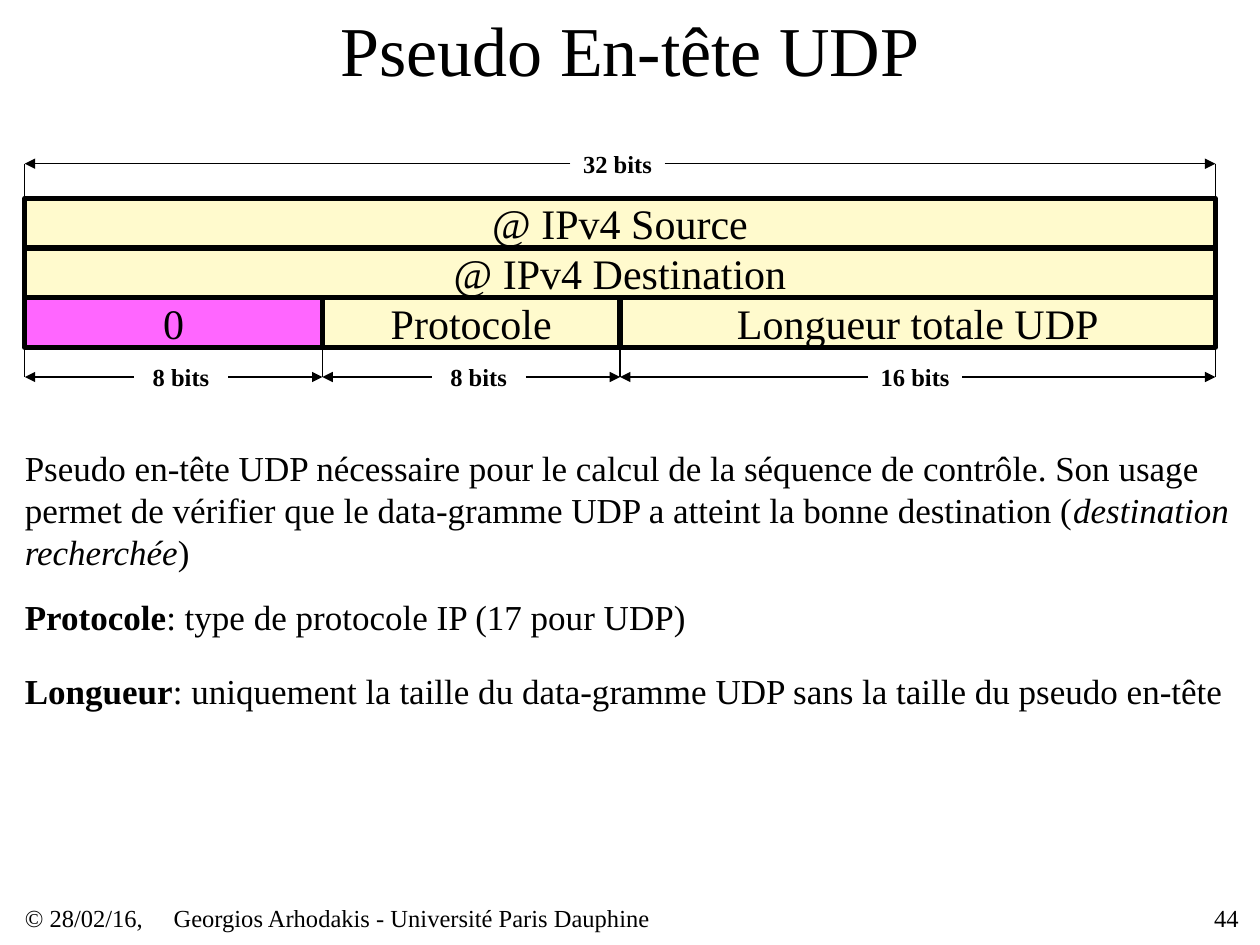
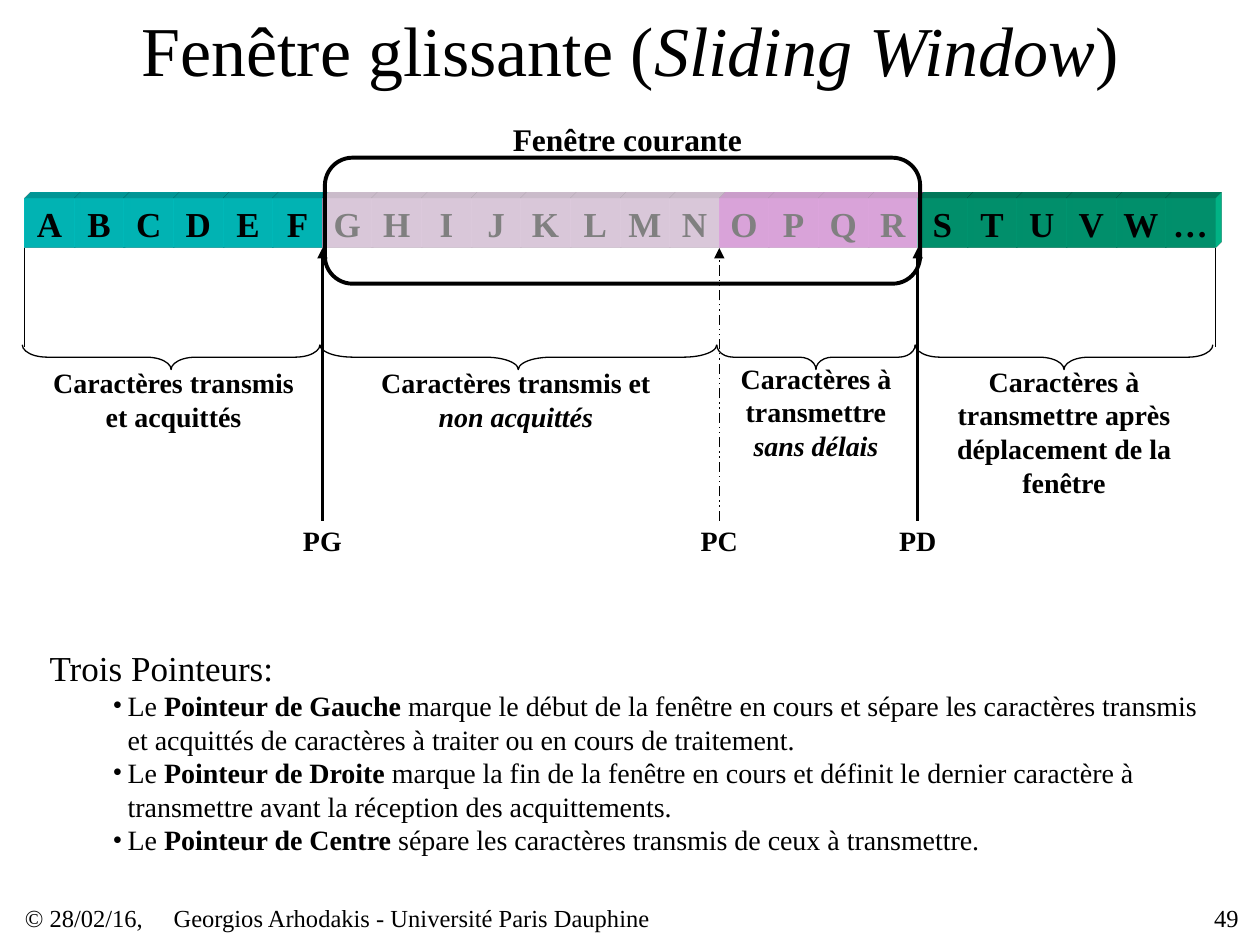
from lxml.etree import SubElement
from pptx import Presentation
from pptx.dml.color import RGBColor
from pptx.enum.dml import MSO_LINE
from pptx.enum.shapes import MSO_CONNECTOR, MSO_SHAPE
from pptx.enum.text import MSO_ANCHOR, MSO_AUTO_SIZE, PP_ALIGN
from pptx.oxml.ns import qn
from pptx.util import Cm, Inches, Pt

FONT = "Times New Roman"
BLACK = RGBColor(0x00, 0x00, 0x00)
WHITE = RGBColor(0xFF, 0xFF, 0xFF)
LEMON = RGBColor(0xFF, 0xFA, 0xCD)
MAGENTA = RGBColor(0xFF, 0x66, 0xFF)
PINK = RGBColor(0xFF, 0xCC, 0xFF)
CYAN = RGBColor(0x00, 0xFF, 0xFF)
GREEN = RGBColor(0x00, 0xCC, 0x99)

# One grid step is 1 cm; column 0 starts half a step from the left edge.
MARGIN = 0.5
TITLE_ONLY, TITLE_AND_BODY = 5, 1


def col(number):
    return Cm(MARGIN + number)


def write(paragraph, *runs, size=16, bold=False, align=PP_ALIGN.LEFT):
    """Add runs, each a string or a (string, "b" or "i") pair."""
    paragraph.alignment = align
    paragraph.space_before = Pt(0)
    for piece in runs:
        words, style = piece if isinstance(piece, tuple) else (piece, "")
        run = paragraph.add_run()
        run.text = words
        font = run.font
        font.name, font.size = FONT, Pt(size)
        font.bold = bold or style == "b"
        font.italic = style == "i"
        font.color.rgb = BLACK


def prepare(frame, wrap=True):
    """Give a text frame no insets and middle anchoring."""
    frame.margin_left = frame.margin_right = 0
    frame.margin_top = frame.margin_bottom = 0
    frame.vertical_anchor = MSO_ANCHOR.MIDDLE
    frame.auto_size = MSO_AUTO_SIZE.NONE
    frame.word_wrap = wrap
    return frame


def bullet(paragraph):
    properties = paragraph._p.get_or_add_pPr()
    properties.set("marL", str(Inches(0.62)))
    properties.set("indent", str(-Inches(0.12)))
    SubElement(properties, qn("a:buFont"), typeface=FONT)
    SubElement(properties, qn("a:buChar"), char="•")


def extrude(block, color):
    """Turn a flat block into a shallow oblique brick."""
    properties = block.element.spPr
    scene = SubElement(properties, qn("a:scene3d"))
    SubElement(scene, qn("a:camera"), prst="legacyObliqueTopRight")
    SubElement(scene, qn("a:lightRig"), rig="legacyFlat3", dir="b")
    solid = SubElement(properties, qn("a:sp3d"), extrusionH="125400",
                       prstMaterial="legacyMatte")
    side = SubElement(solid, qn("a:extrusionClr"))
    SubElement(side, qn("a:srgbClr"), val=str(color))


class Deck:
    def __init__(self):
        self.show = Presentation()
        self.show.slide_width, self.show.slide_height = Inches(10), Inches(7.5)
        self.slide = None

    def start(self, layout, page, *title):
        self.slide = self.show.slides.add_slide(self.show.slide_layouts[layout])
        heading = self.slide.shapes.title
        heading.left, heading.top = Inches(0.75), 0
        heading.width, heading.height = Inches(8.5), Inches(0.77)
        heading.text_frame.vertical_anchor = MSO_ANCHOR.MIDDLE
        heading.text_frame.auto_size = MSO_AUTO_SIZE.NONE
        write(heading.text_frame.paragraphs[0], *title, size=40,
              align=PP_ALIGN.CENTER)
        self.text(0, 18.2, 3, 0.6, "© 28/02/16,", size=14)
        self.text(3, 18.2, 15, 0.6,
                  "Georgios Arhodakis - Université Paris Dauphine", size=14)
        self.text(19.2, 18.2, 5.27, 0.6, page, size=14, align=PP_ALIGN.RIGHT)

    def text(self, column, row, width, height, *runs, **style):
        box = self.slide.shapes.add_textbox(
            col(column), Cm(row), Cm(width), Cm(height))
        write(prepare(box.text_frame).paragraphs[0], *runs, **style)

    def label(self, *place_and_runs, size=16):
        self.text(*place_and_runs, size=size, bold=True, align=PP_ALIGN.CENTER)

    def shape(self, preset, column, row, width, height, fill=None, line=0):
        figure = self.slide.shapes.add_shape(
            preset, col(column), Cm(row), Cm(width), Cm(height))
        figure.shadow.inherit = False
        if fill is None:
            figure.fill.background()
        else:
            figure.fill.solid()
            figure.fill.fore_color.rgb = fill
        if line:
            figure.line.color.rgb = BLACK
            figure.line.width = Pt(line)
        else:
            figure.line.fill.background()
        return figure

    def field(self, column, row, width, caption, fill=LEMON):
        box = self.shape(MSO_SHAPE.RECTANGLE, column, row, width, 1, fill, 3)
        write(prepare(box.text_frame).paragraphs[0], caption, size=24,
              align=PP_ALIGN.CENTER)

    def brick(self, column, row, letter, fill):
        block = self.shape(MSO_SHAPE.RECTANGLE, column, row, 1, 1, fill)
        write(prepare(block.text_frame, wrap=False).paragraphs[0], letter,
              size=20, bold=True, align=PP_ALIGN.CENTER)
        extrude(block, fill)

    def line(self, start, end, width=0.75, arrow=False, dash=None):
        link = self.slide.shapes.add_connector(
            MSO_CONNECTOR.STRAIGHT, col(start[0]), Cm(start[1]),
            col(end[0]), Cm(end[1]))
        link.line.color.rgb = BLACK
        link.line.width = Pt(width)
        if dash:
            link.line.dash_style = dash
        if arrow:
            SubElement(link.line._get_or_add_ln(), qn("a:tailEnd"),
                       type="triangle")
        SubElement(link.element.spPr, qn("a:effectLst"))

    def dimension(self, first, last, row, caption, caption_column):
        """Draw a two-way arrow interrupted by its caption."""
        gap = 1.9
        self.label(caption_column, row - 0.3, gap, 0.6, caption, size=14)
        self.line((caption_column, row), (first, row), arrow=True)
        self.line((caption_column + gap, row), (last, row), arrow=True)

    def brace(self, first, last, row):
        """Draw a brace under the columns, pointing down."""
        span, depth = last - first, 0.5
        middle = (first + last) / 2 - 0.05
        curve = self.shape(MSO_SHAPE.LEFT_BRACE, middle - depth / 2,
                           row - span / 2, depth, span, line=0.75)
        curve.rotation = 270
        curve.adjustments[0] = span / 6

    def pointer(self, column, name, **style):
        self.line((column, 10.5), (column, 5), arrow=True, **style)
        self.label(column - 0.5, 10.5, 1, 0.8, name)


def pseudo_header(deck):
    deck.start(TITLE_ONLY, "44", "Pseudo En-tête UDP")
    deck.field(0, 4, 24, "@ IPv4 Source")
    deck.field(0, 5, 24, "@ IPv4 Destination")
    deck.field(6, 6, 6, "Protocole")
    deck.field(12, 6, 12, "Longueur totale UDP")
    deck.field(0, 6, 6, "0", MAGENTA)

    for edge, top in ((0, 3.3), (6, 6.1), (12, 6.1), (24, 3.3)):
        deck.line((edge, top), (edge, 7.6))
    deck.dimension(0, 24, 3.3, "32 bits", 11)
    deck.dimension(0, 6, 7.6, "8 bits", 2.2)
    deck.dimension(6, 12, 7.6, "8 bits", 8.2)
    deck.dimension(12, 24, 7.6, "16 bits", 17)

    deck.text(0, 9, 24.3, 2.54,
              "Pseudo en-tête UDP nécessaire pour le calcul de la séquence de "
              "contrôle. Son usage permet de vérifier que le data-gramme UDP a "
              "atteint la bonne destination (",
              ("destination recherchée", "i"), ")", size=20)
    deck.text(0, 12, 24.3, 0.84, ("Protocole", "b"),
              ": type de protocole IP (17 pour UDP)", size=20)
    deck.text(0, 13.5, 24.3, 0.84, ("Longueur", "b"),
              ": uniquement la taille du data-gramme UDP sans la taille du "
              "pseudo en-tête", size=20)


def sliding_window(deck):
    deck.start(TITLE_AND_BODY, "49", "Fenêtre glissante (",
               ("Sliding Window", "i"), ")")
    zones = (("ABCDEF", CYAN), ("GHIJKLMN", PINK), ("OPQR", MAGENTA),
             ("STUVW…", GREEN))
    first = 0
    for letters, color in zones:
        for offset, letter in enumerate(letters):
            deck.brick(first + offset, 4, letter, color)
        deck.brace(first, first + len(letters), 7.2)
        first += len(letters)

    window = deck.shape(MSO_SHAPE.ROUNDED_RECTANGLE, 6.05, 3.18, 12, 2.54,
                        WHITE, 2.25)
    window.adjustments[0] = 0.22
    veil = window.element.spPr.find(qn("a:solidFill")).find(qn("a:srgbClr"))
    SubElement(veil, qn("a:alpha"), val="50000")
    deck.label(9.8, 2.4, 4.7, 0.8, "Fenêtre courante", size=18)

    for edge in (0, 24):
        deck.line((edge, 5), (edge, 7))
    deck.label(0.5, 7.3, 5, 1.5, "Caractères transmis et acquittés")
    deck.label(6.9, 7.3, 6, 1.5, "Caractères transmis et ",
               ("non acquittés", "i"))
    deck.label(14.4, 7.3, 3.1, 2, "Caractères à transmettre ",
               ("sans délais", "i"))
    deck.label(18.7, 7.3, 4.5, 2.8,
               "Caractères à transmettre après déplacement de la fenêtre")
    deck.pointer(6, "PG", width=1.5)
    deck.pointer(14, "PC", dash=MSO_LINE.DASH_DOT_DOT)
    deck.pointer(18, "PD", width=1.5)

    roles = deck.slide.placeholders[1]
    roles.left, roles.top = col(0.5), Cm(13)
    roles.width, roles.height = Cm(23.5), Cm(4.3)
    frame = prepare(roles.text_frame)
    intro = frame.paragraphs[0]
    properties = intro._p.get_or_add_pPr()
    properties.set("marL", "0")
    properties.set("indent", "0")
    SubElement(properties, qn("a:buNone"))
    write(intro, "Trois Pointeurs:", size=20)
    for name, role in (
        ("Pointeur de Gauche",
         " marque le début de la fenêtre en cours et sépare les caractères "
         "transmis et acquittés de caractères à traiter ou en cours de "
         "traitement."),
        ("Pointeur de Droite",
         " marque la fin de la fenêtre en cours et définit le dernier "
         "caractère à transmettre avant la réception des acquittements."),
        ("Pointeur de Centre",
         " sépare les caractères transmis de ceux à transmettre."),
    ):
        item = frame.add_paragraph()
        item.level = 1
        bullet(item)
        write(item, "Le ", (name, "b"), role)


def main():
    deck = Deck()
    pseudo_header(deck)
    sliding_window(deck)
    deck.show.save("out.pptx")


if __name__ == "__main__":
    main()
